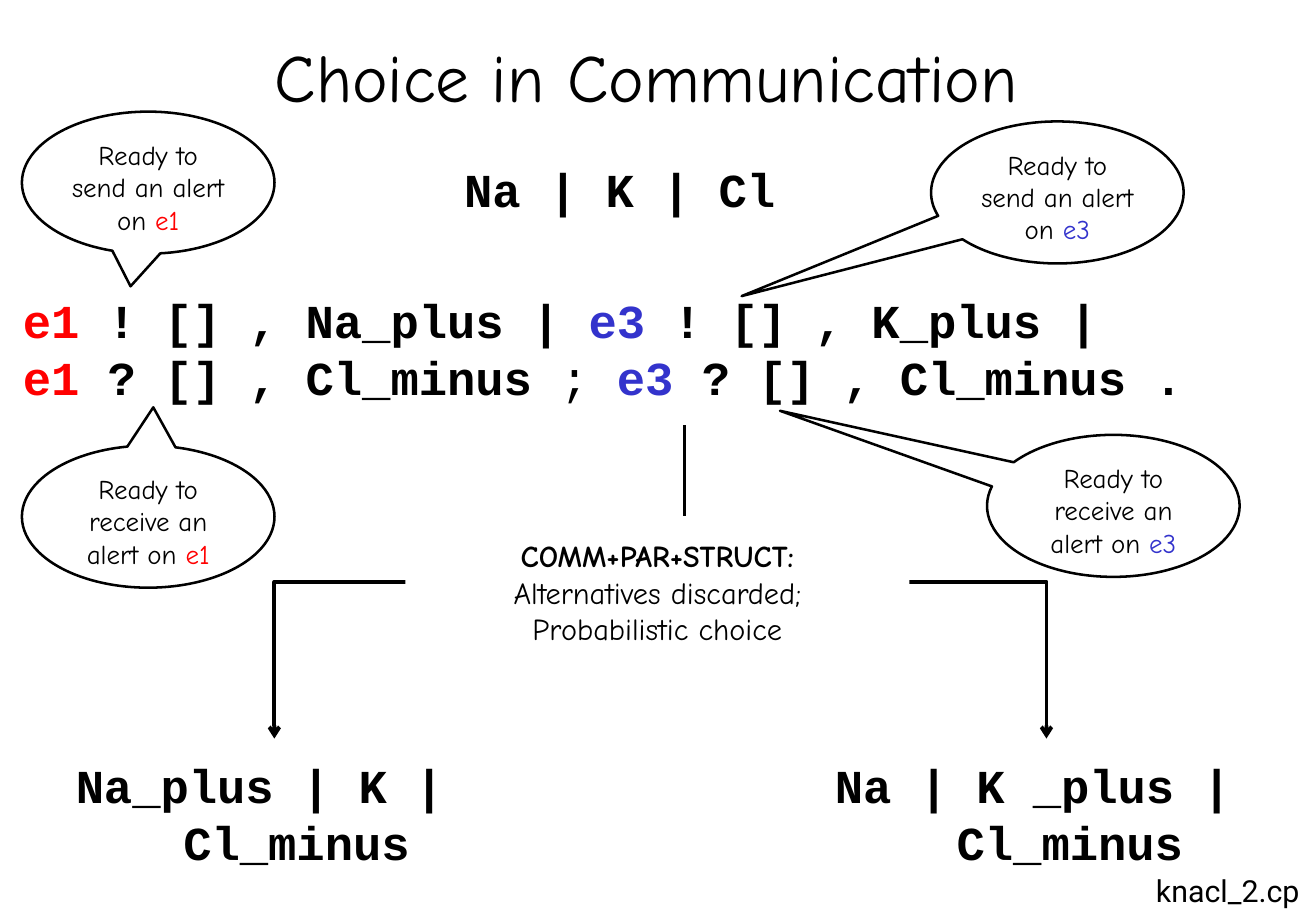
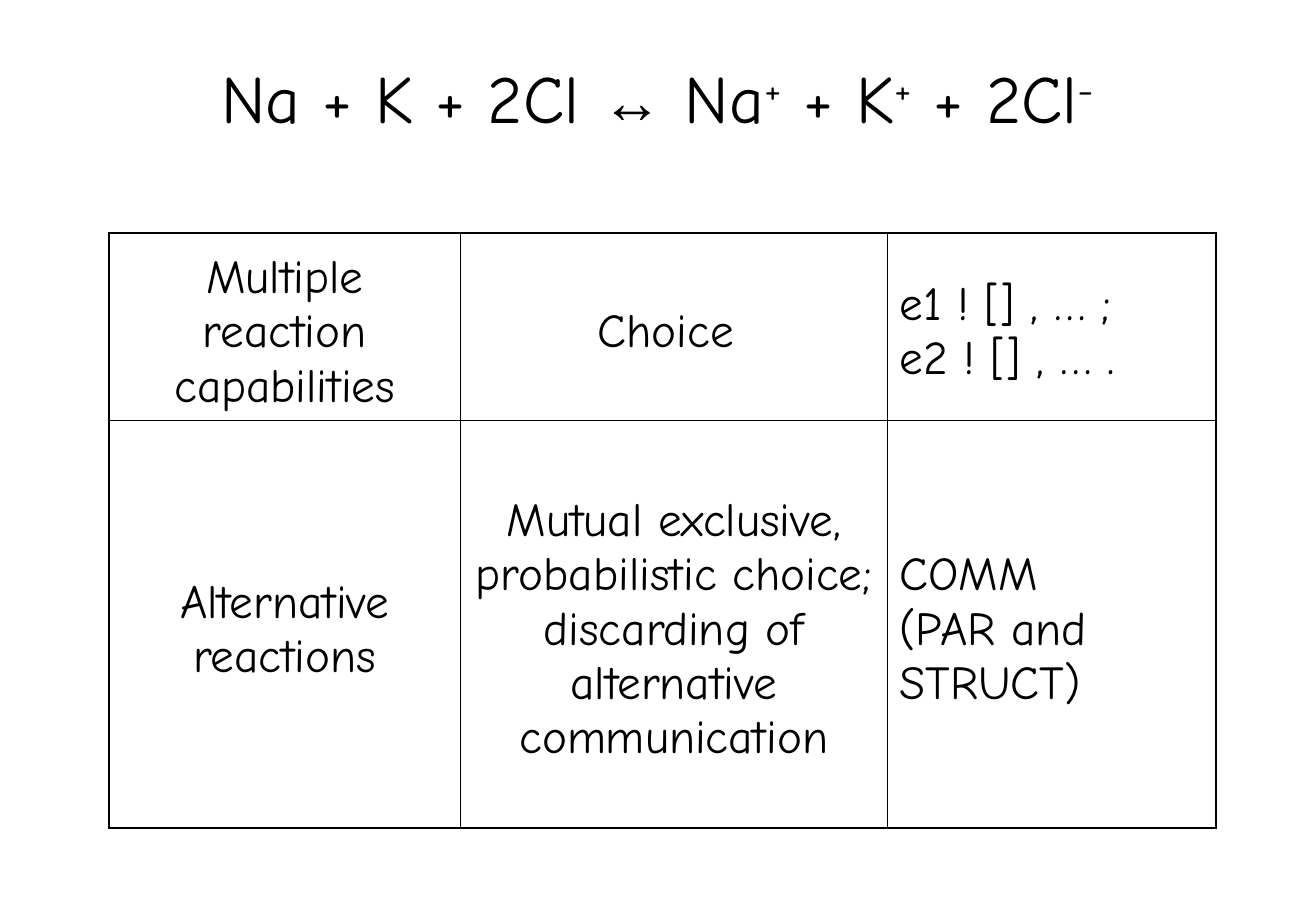
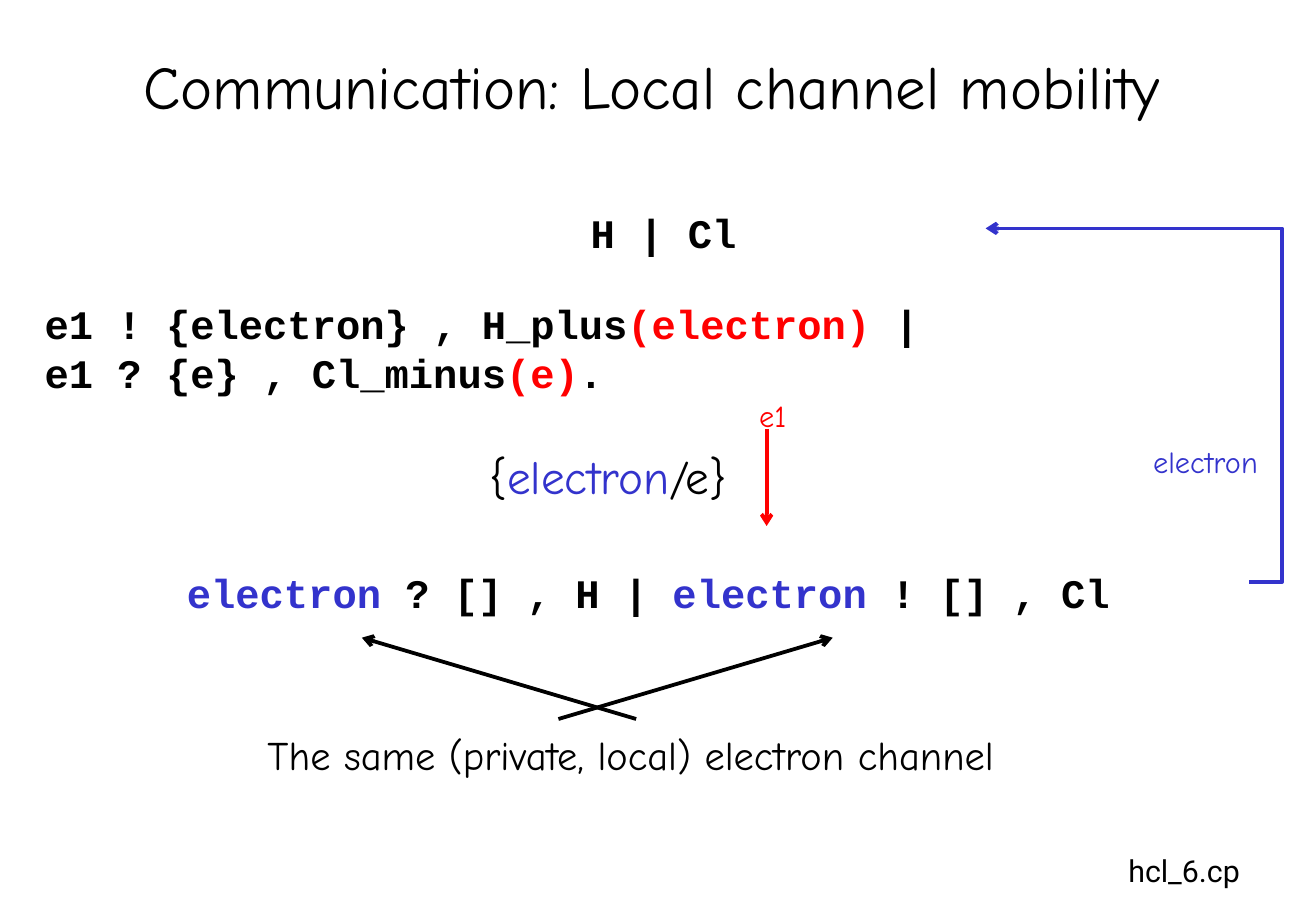
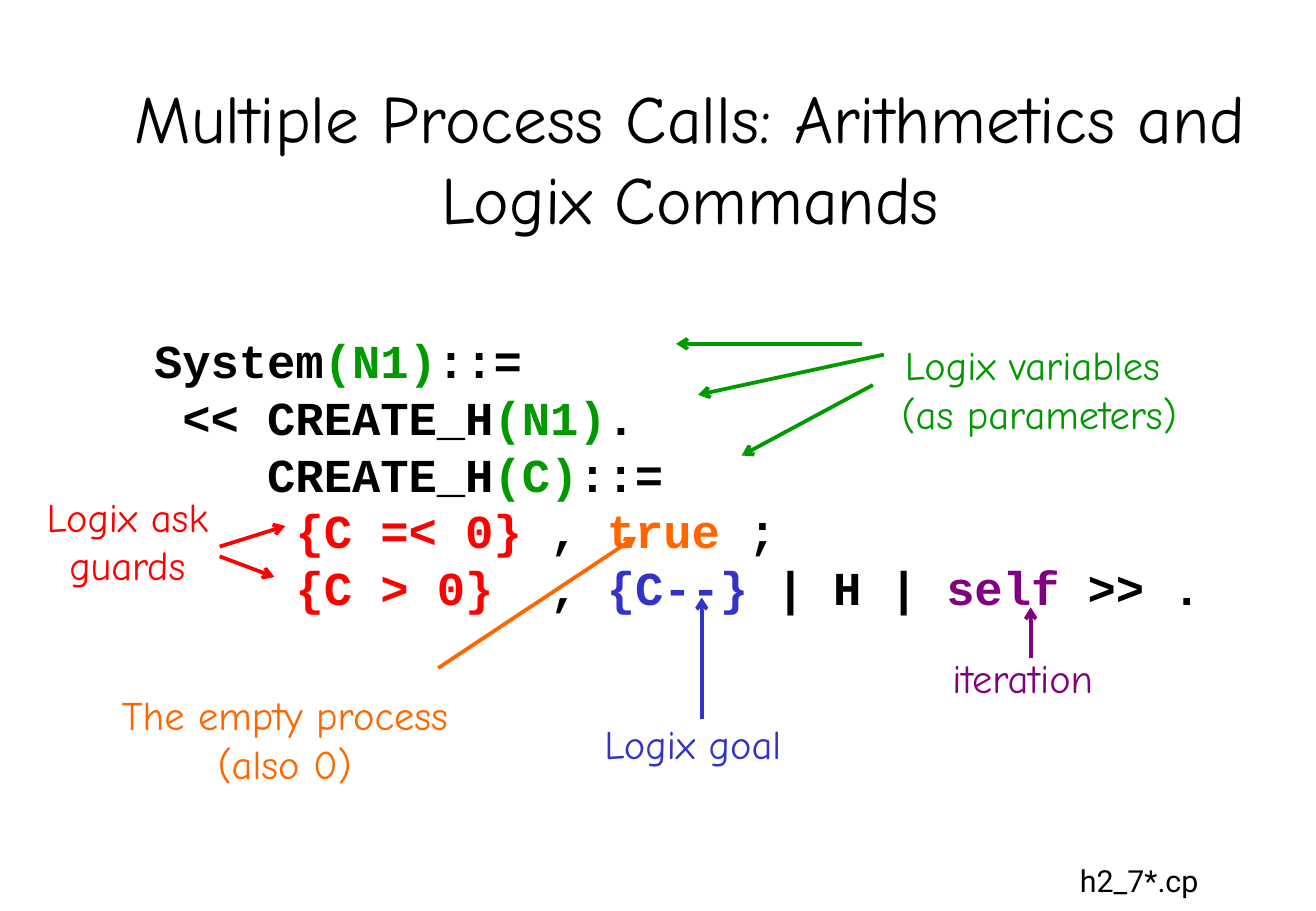
from dataclasses import dataclass
from typing import NamedTuple, Optional

from lxml import etree
from pptx import Presentation
from pptx import util as u
from pptx.dml.color import RGBColor
from pptx.enum import shapes as s
from pptx.enum import text as t
from pptx.oxml.ns import qn

COLORS = {
    "black": "000000",
    "white": "FFFFFF",
    "red": "FF0000",
    "blue": "3333CC",
    "green": "009900",
    "orange": "FF6600",
    "purple": "800080",
}
PROSE, CODE, FILE = "Comic Neue", "Courier New", "Roboto"
LEFT, CENTER = t.PP_ALIGN.LEFT, t.PP_ALIGN.CENTER
TOP, MIDDLE = t.MSO_ANCHOR.TOP, t.MSO_ANCHOR.MIDDLE
INSET = 3.6
HANGING = 27
LINE_WIDTH = 2.25


class Box(NamedTuple):
    left: float
    top: float
    width: float
    height: float


class Span(NamedTuple):
    text: str
    color: Optional[str] = None
    bold: Optional[bool] = None
    raised: bool = False
    font: Optional[str] = None
    size: Optional[float] = None


@dataclass(frozen=True)
class Style:
    font: str = PROSE
    size: float = 24
    color: str = "black"
    bold: bool = False
    align: t.PP_ALIGN = CENTER
    anchor: t.MSO_ANCHOR = MIDDLE
    wrap: bool = False
    lead: float = 0  # extra inset above the text
    hanging: float = 0
    plain: bool = False  # switch off inherited bullets


@dataclass(frozen=True)
class Label:
    box: Box
    spans: tuple
    style: Style


@dataclass(frozen=True)
class Arrow:
    start: tuple
    end: tuple
    color: str = "black"


@dataclass(frozen=True)
class Callout:
    left: float
    top: float
    tip: tuple
    verb: str
    channel: Span


def code_style(size: float, **changes) -> Style:
    settings = dict(font=CODE, size=size, bold=True, align=LEFT, anchor=TOP,
                    wrap=True, lead=size / 4)
    return Style(**{**settings, **changes})


def centered_code(size: float) -> Style:
    return code_style(size, align=CENTER, hanging=HANGING)


def rgb(name: str) -> RGBColor:
    return RGBColor.from_string(COLORS[name])


def points(*values: float) -> list:
    return [u.Pt(value) for value in values]


# Text
def write(frame, spans: tuple, style: Style) -> None:
    paragraph = frame.paragraphs[0]
    paragraph.alignment = style.align
    properties = paragraph._p.get_or_add_pPr()
    if style.hanging or style.plain:
        properties.set("marL", str(u.Pt(style.hanging)))
        properties.set("indent", str(-u.Pt(style.hanging)))
    if style.plain:
        paragraph.space_before = u.Pt(0)
        etree.SubElement(properties, qn("a:buNone"))
    font = paragraph.font
    font.name, font.size, font.bold = style.font, u.Pt(style.size), style.bold
    font.color.rgb = rgb(style.color)
    for span in spans:
        for index, line in enumerate(span.text.split("\n")):
            if index:
                paragraph.add_line_break()
            if line:
                add_run(paragraph, line, span)


def add_run(paragraph, line: str, span: Span) -> None:
    run = paragraph.add_run()
    run.text = line
    if span.color:
        run.font.color.rgb = rgb(span.color)
    if span.bold is not None:
        run.font.bold = span.bold
    if span.font:
        run.font.name = span.font
    if span.size:
        run.font.size = u.Pt(span.size)
    if span.raised:
        run._r.get_or_add_rPr().set("baseline", "30000")


def fill_frame(shape, spans: tuple, style: Style) -> None:
    frame = shape.text_frame
    frame.auto_size = t.MSO_AUTO_SIZE.NONE
    frame.word_wrap = style.wrap
    frame.vertical_anchor = style.anchor
    frame.margin_top = u.Pt(INSET + style.lead)
    write(frame, spans, style)


def add_label(slide, label: Label):
    shape = slide.shapes.add_textbox(*points(*label.box))
    fill_frame(shape, label.spans, label.style)
    return shape


def fill_placeholder(shape, box: Box, spans: tuple, style: Style) -> None:
    shape.left, shape.top, shape.width, shape.height = points(*box)
    fill_frame(shape, spans, style)


def start_slide(presentation, layout: int, box: Box, *spans: Span, size: float = 40):
    slide = presentation.slides.add_slide(presentation.slide_layouts[layout])
    fill_placeholder(slide.shapes.title, box, spans, Style(size=size, wrap=True))
    return slide


def add_file_name(slide, name: str, left: float, top: float) -> None:
    add_label(slide, Label(Box(left, top, 208, 36), (Span(name),),
                           Style(font=FILE, size=18)))


# Lines
def finish_line(connector, color: str) -> None:
    connector.line.color.rgb = rgb(color)
    connector.line.width = u.Pt(LINE_WIDTH)
    line = connector.line._get_or_add_ln()
    etree.SubElement(line, qn("a:tailEnd"), type="arrow")
    etree.SubElement(connector._element.spPr, qn("a:effectLst"))


def add_arrow(slide, arrow: Arrow):
    connector = slide.shapes.add_connector(
        s.MSO_CONNECTOR.STRAIGHT, *points(*arrow.start, *arrow.end))
    finish_line(connector, arrow.color)
    return connector


def add_side_elbow(slide, arrow: Arrow, bend: float) -> None:
    """Elbow that leaves sideways; bend is a share of its width."""
    connector = slide.shapes.add_connector(
        s.MSO_CONNECTOR.ELBOW, *points(*arrow.start, *arrow.end))
    guides = connector._element.spPr.find(qn("a:prstGeom")).get_or_add_avLst()
    etree.SubElement(guides, qn("a:gd"), name="adj1", fmla=f"val {round(bend * 100000)}")
    finish_line(connector, arrow.color)


def add_down_elbow(slide, arrow: Arrow) -> None:
    """Elbow that leaves downwards: a sideways one, turned about its centre."""
    (x1, y1), (x2, y2) = arrow.start, arrow.end
    center_x, center_y = (x1 + x2) / 2, (y1 + y2) / 2
    half_width, half_height = (y2 - y1) / 2, abs(x2 - x1) / 2
    rightward = x2 > x1
    if rightward:
        half_width = -half_width
    connector = slide.shapes.add_connector(
        s.MSO_CONNECTOR.ELBOW,
        *points(center_x - half_width, center_y - half_height,
                center_x + half_width, center_y + half_height))
    degrees = 270 if rightward else 90
    connector._element.spPr.find(qn("a:xfrm")).set("rot", str(degrees * 60000))
    finish_line(connector, arrow.color)


# Slide parts
def add_callout(slide, callout: Callout) -> None:
    shape = slide.shapes.add_shape(
        s.MSO_SHAPE.OVAL_CALLOUT, *points(callout.left, callout.top, 149.8, 84.2))
    shape.adjustments[0], shape.adjustments[1] = callout.tip
    shape.fill.background()
    shape.line.color.rgb = rgb("black")
    shape.line.width = u.Pt(1.5)
    shape.shadow.inherit = False
    fill_frame(shape, (Span(f"Ready to {callout.verb} an alert on "), callout.channel),
               Style(size=16, anchor=TOP, wrap=True))


def add_border(cell, side: str, width: float) -> None:
    line = etree.SubElement(cell._tc.get_or_add_tcPr(), qn(f"a:{side}"),
                            w=str(u.Pt(width)))
    fill = etree.SubElement(line, qn("a:solidFill"))
    etree.SubElement(fill, qn("a:srgbClr"), val=COLORS["black"])


def add_grid(slide, left: float, top: float, widths: list, heights: list,
             texts: list) -> None:
    table = slide.shapes.add_table(
        len(heights), len(widths),
        *points(left, top, sum(widths), sum(heights))).table
    table.first_row = table.horz_banding = False
    for column, width in zip(table.columns, widths):
        column.width = u.Pt(width)
    last_row, last_column = len(heights) - 1, len(widths) - 1
    for i, height in enumerate(heights):
        table.rows[i].height = u.Pt(height)
        for j, content in enumerate(texts[i]):
            cell = table.cell(i, j)
            outer = {"lnL": j == 0, "lnR": j == last_column,
                     "lnT": i == 0, "lnB": i == last_row}
            for side, is_outer in outer.items():
                add_border(cell, side, 1.08 if is_outer else 0.45)
            cell.fill.background()
            cell.vertical_anchor = MIDDLE
            cell.margin_top = u.Pt(INSET + 7)
            align = LEFT if j == last_column else CENTER
            write(cell.text_frame, (Span(content),), Style(size=28, align=align))


# Slides
def build_choice(presentation) -> None:
    slide = start_slide(presentation, 5, Box(58.3, 0, 663, 90),
                        Span("Choice in Communication "))
    add_file_name(slide, "knacl_2.cp", 624.2, 509.8)
    e1, e3 = Span("e1", "red"), Span("e3", "blue")
    start, end_y = (406, 252), 437.8
    add_label(slide, Label(
        Box(6.5, 162, 799.2, 90),
        (e1, Span(" ! [] , Na_plus | "), e3, Span(" ! [] , K_plus | \n"),
         e1, Span(" ? [] , Cl_minus "), Span("; ", bold=False), e3,
         Span(" ? [] , Cl_minus .")),
        code_style(28)))
    for box, content in (
        (Box(175.7, 84.2, 383.8, 72), "Na | K | Cl"),
        (Box(6.5, end_y, 311.8, 72), "Na_plus | K | \nCl_minus"),
        (Box(403.2, end_y, 435.6, 72), "Na | K _plus | \nCl_minus"),
    ):
        add_label(slide, Label(box, (Span(content),), centered_code(28)))
    for callout in (
        Callout(13, 66.2, (-0.07, 0.73), "send", e1),
        Callout(552.2, 72, (-1.25, 0.73), "send", e3),
        Callout(13, 264.2, (0.02, -0.77), "receive", e1),
        Callout(585.4, 257.8, (-1.32, -0.67), "receive", e3),
    ):
        add_callout(slide, callout)
    for end_x in (162.7, 620.6):
        add_down_elbow(slide, Arrow(start, (end_x, end_y)))

    # Rule applied, laid over the two arrows
    rule = slide.shapes.add_shape(s.MSO_SHAPE.RECTANGLE, *points(240.5, 306, 298.8, 90))
    rule.fill.solid()
    rule.fill.fore_color.rgb = rgb("white")
    rule.line.fill.background()
    rule.shadow.inherit = False
    fill_frame(rule, (Span("COMM+PAR+STRUCT:\n", bold=True),
                      Span("Alternatives discarded;\nProbabilistic choice")),
               Style(size=18))


def build_reaction(presentation) -> None:
    plus = Span("+", raised=True)
    slide = start_slide(
        presentation, 5, Box(58.3, 12.2, 663, 90),
        Span("Na + K + 2Cl "), Span("↔", font="Arial", size=36), Span(" Na"), plus,
        Span(" + K"), plus, Span(" + 2Cl"), Span("-", raised=True))
    add_grid(slide, 64.8, 138.2, [208.1, 253.4, 195.1], [108, 241.9], [
        ["Multiple reaction capabilities", "Choice ", "e1 ! [] , … ;\ne2 ! [] , … ."],
        ["Alternative reactions",
         "Mutual exclusive, probabilistic choice; discarding of alternative communication",
         "COMM \n(PAR and STRUCT)"],
    ])


def build_mobility(presentation) -> None:
    slide = start_slide(presentation, 5, Box(25.9, 5.8, 721.4, 90),
                        Span("Communication: Local channel mobility"), size=36)
    add_file_name(slide, "hcl_6.cp", 598.3, 498.2)
    electron = Span("electron", "blue")
    for label in (
        Label(Box(19.4, 167.8, 799.2, 59.8),
              (Span("e1 ! {electron} , H_plus"), Span("(electron) ", "red"),
               Span("| \ne1 ? {e} , Cl_minus"), Span("(e)", "red"), Span(".")),
              code_style(24)),
        Label(Box(201.6, 113.8, 383.8, 41.8), (Span("H | Cl"),), centered_code(24)),
        Label(Box(695.5, 246.2, 38.9, 54), (Span("electron"),),
              Style(size=18, color="blue")),
        Label(Box(435.6, 228.2, 45.4, 36), (Span("e1"),), Style(size=18, color="red")),
        Label(Box(266.4, 264.2, 188.6, 36), (Span("{"), electron, Span("/e}")),
              Style(size=28)),
        Label(Box(188.6, 426.2, 370.8, 41.8),
              (Span("The same (private, local) electron channel"),), Style()),
    ):
        add_label(slide, label)
    product = add_label(slide, Label(
        Box(103.7, 311.8, 702, 72),
        (electron, Span(" ? [] , H | "), electron, Span(" ! [] , Cl")),
        code_style(24, anchor=MIDDLE)))
    add_side_elbow(slide, Arrow((740.9, 344.9), (584.6, 135.4), "blue"), -0.125)
    step = add_arrow(slide, Arrow((454.7, 254.2), (454.7, 311.8), "red"))
    step.end_connect(product, 0)
    add_arrow(slide, Arrow((377.3, 426.2), (214.6, 378)))
    add_arrow(slide, Arrow((331.2, 426.2), (493.9, 378)))


def build_process_calls(presentation) -> None:
    slide = start_slide(presentation, 1, Box(58.3, 48.2, 702, 90),
                        Span("Multiple Process Calls: Arithmetics and Logix Commands"))
    parameter = Span("(N1)", "green")
    fill_placeholder(
        slide.placeholders[1], Box(84.2, 185.8, 682.6, 324),
        (Span("System"), parameter, Span("::= \n << CREATE_H"), parameter,
         Span(". \n    CREATE_H"), Span("(C)", "green"), Span("::= \n     "),
         Span("{C =< 0}", "red"), Span(" , "), Span("true", "orange"),
         Span(" ;\n     "), Span("{C > 0}", "red"), Span("  , "),
         Span("{C--}", "blue"), Span(" | H | "), Span("self", "purple"),
         Span(" >> .")),
        code_style(28, plain=True))
    add_file_name(slide, "h2_7*.cp", 571.7, 504)

    # Notes on the code and their arrows
    for box, content, style in (
        (Box(351.4, 419.8, 130.3, 41.8), "Logix goal", Style(color="blue", align=LEFT)),
        (Box(491.8, 198, 249.1, 64.8), "Logix variables \n(as parameters)",
         Style(color="green", anchor=TOP, wrap=True)),
        (Box(557.3, 383.8, 98.6, 36), "iteration", Style(color="purple", anchor=TOP)),
        (Box(-13, 288, 177.1, 64.8), "Logix ask guards",
         Style(color="red", anchor=TOP, wrap=True)),
        (Box(45.4, 408.2, 247, 59.8), "The empty process\n(also 0)",
         Style(color="orange")),
    ):
        add_label(slide, Label(box, (Span(content),), style))
    for arrow in (
        Arrow((524.2, 210.2), (414, 234), "green"),
        Arrow((511.2, 203.8), (401, 203.8), "green"),
        Arrow((517.7, 228.2), (439.9, 270), "green"),
        Arrow((611.3, 390.2), (611.3, 360), "purple"),
        Arrow((130.3, 324), (169.2, 311.8), "red"),
        Arrow((130.3, 329.8), (162.7, 342), "red"),
        Arrow((416.2, 426.2), (416.2, 354.2), "blue"),
        Arrow((259.9, 396), (377.3, 318.2), "orange"),
    ):
        add_arrow(slide, arrow)


def main() -> None:
    presentation = Presentation()
    presentation.slide_width, presentation.slide_height = points(780.48, 540)
    for build in (build_choice, build_reaction, build_mobility, build_process_calls):
        build(presentation)
    presentation.save("out.pptx")


if __name__ == "__main__":
    main()
